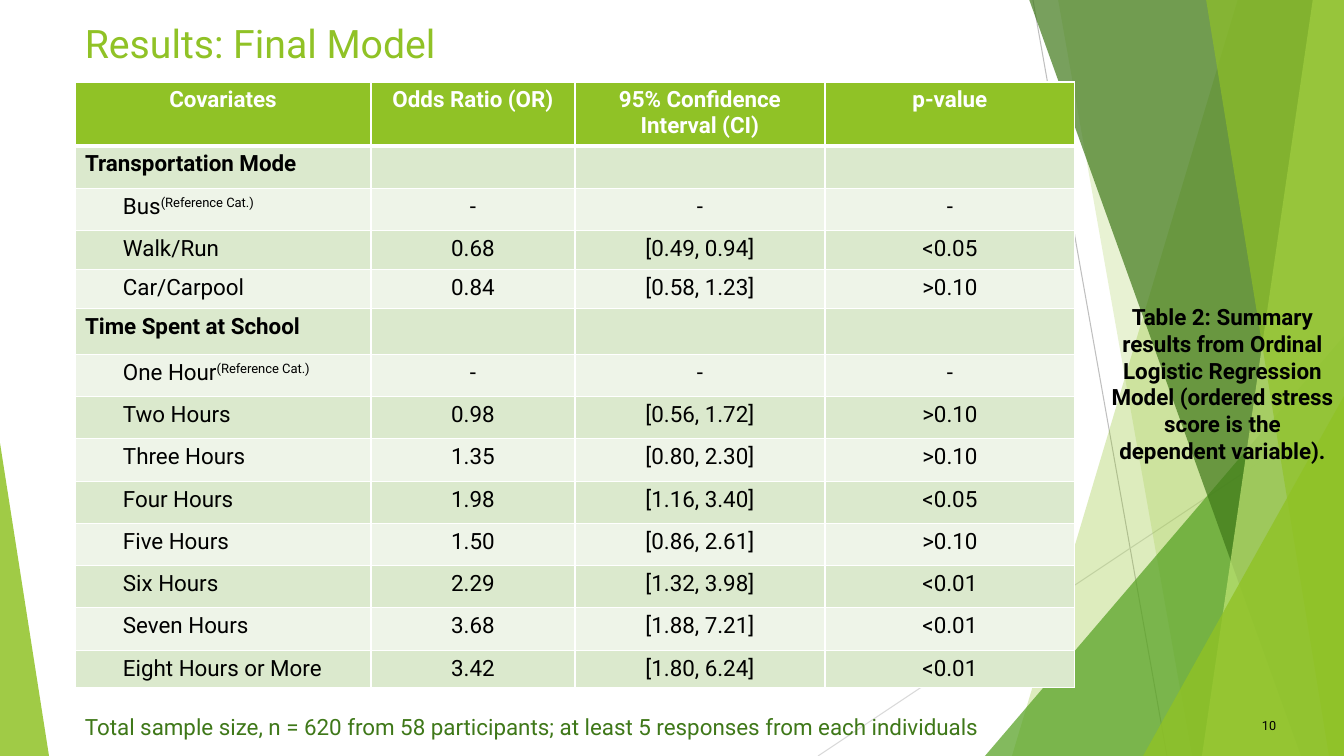
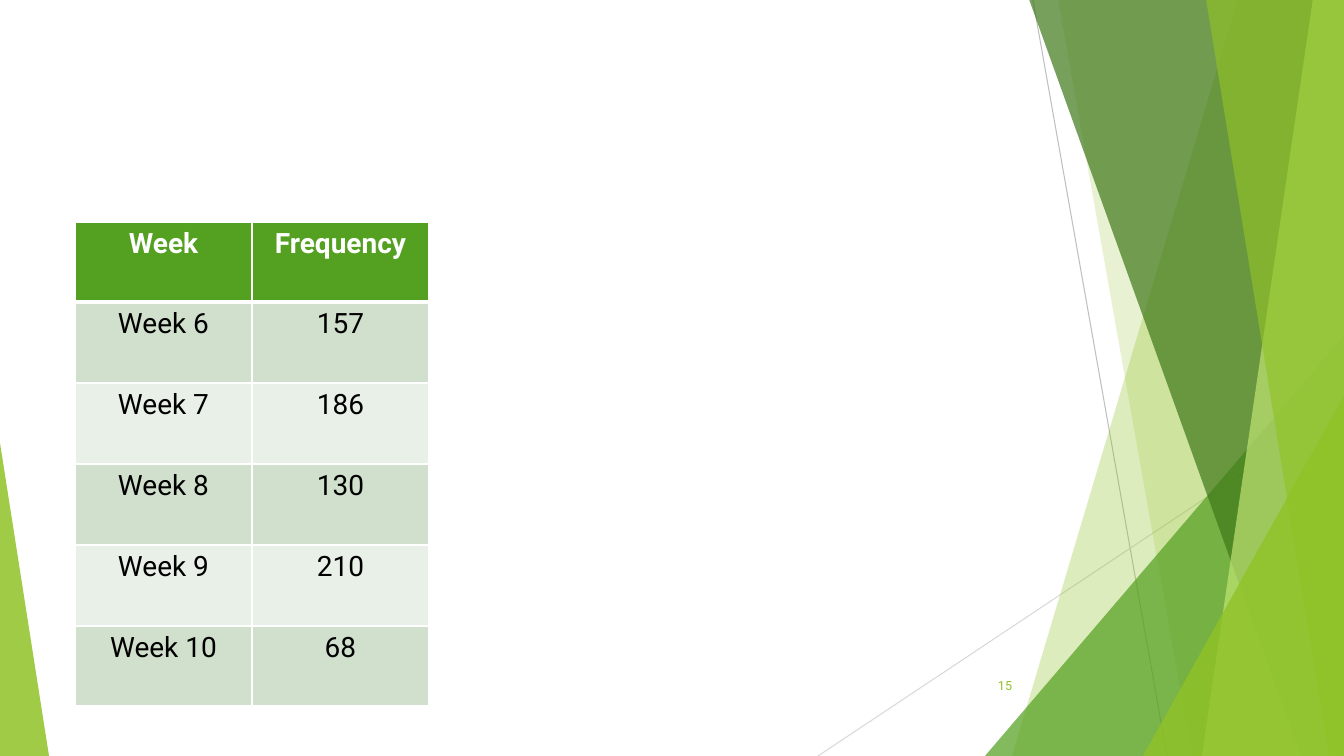
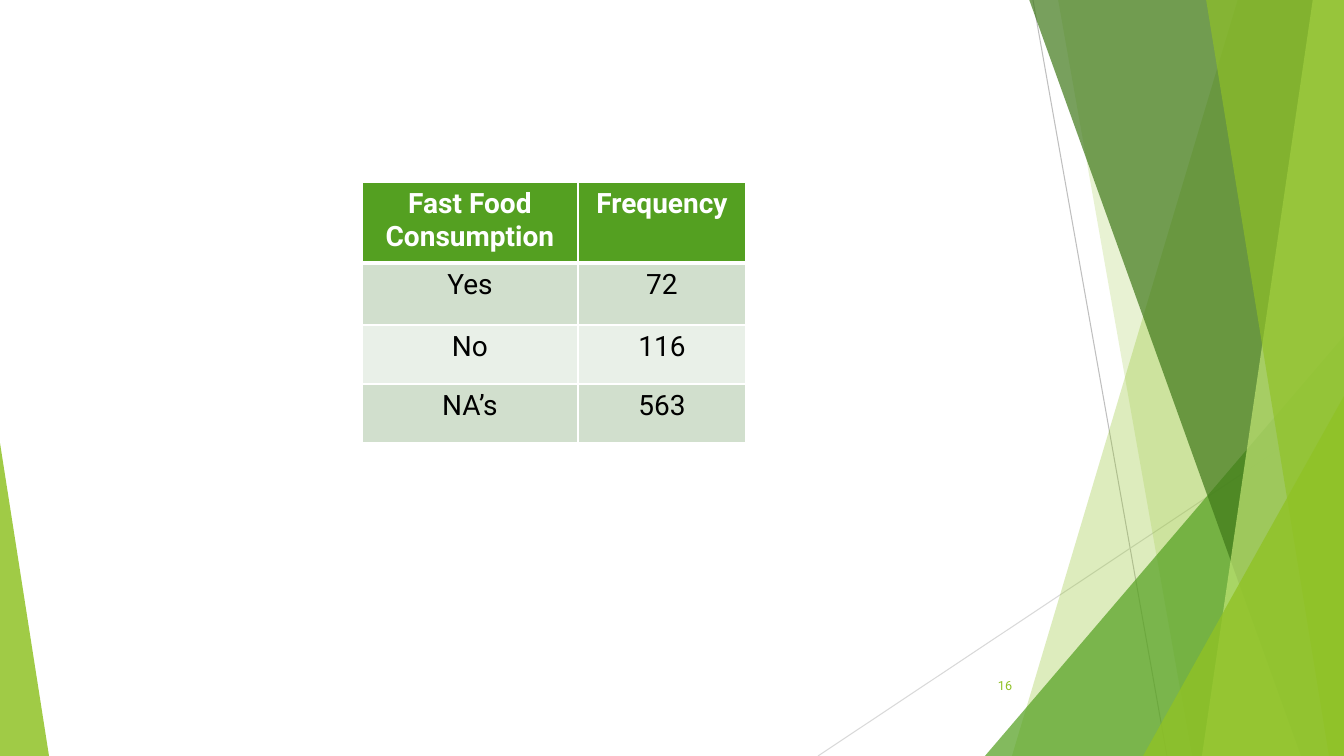
from dataclasses import dataclass
from typing import NamedTuple

from lxml.etree import SubElement
from pptx import Presentation
from pptx.dml.color import RGBColor
from pptx.enum.shapes import MSO_CONNECTOR as Connector, MSO_SHAPE as Shape
from pptx.enum.text import MSO_ANCHOR as Anchor, PP_ALIGN as Align
from pptx.oxml import parse_xml
from pptx.oxml.ns import nsdecls, qn
from pptx.util import Emu, Pt

PX = 914400 / 100.8
SLIDE_W, SLIDE_H = 1344, 756
FONT = "Roboto"
LIME, GREEN, FOREST, PALE = "90C226", "54A021", "3F7819", "C0E474"
WHITE, BLACK = "FFFFFF", "000000"
LABEL_INDENT = 48
REFERENCE_NOTE = "(Reference Cat.)"


class Box(NamedTuple):
    left: int
    top: int
    width: int
    height: int


class Ray(NamedTuple):
    start: tuple[int, int]
    end: tuple[int, int]
    colour: str


class Band(NamedTuple):
    """A full-height area between a slanted left edge and the right slide edge."""
    top_left: int
    bottom_left: int
    colour: str
    opacity: int


class Wedge(NamedTuple):
    box: Box
    apex: int
    colour: str
    opacity: int


@dataclass(frozen=True)
class TableStyle:
    header: str
    bands: tuple[str, str]
    size: int


@dataclass(frozen=True)
class TableSpec:
    left: int
    top: int
    columns: tuple[int, ...]
    heights: tuple[int, ...]
    style: TableStyle
    rows: tuple[tuple[str, ...], ...]


RAYS = (
    Ray((1033, 0), (1167, SLIDE_H), "BFBFBF"),
    Ray((SLIDE_W, 406), (818, SLIDE_H), "D9D9D9"),
)
FACETS = (
    Band(1238, 1012, LIME, 30),
    Band(1058, 1192, LIME, 20),
    Wedge(Box(985, 336, 359, 420), 1, GREEN, 72),
    Band(1029, 1301, FOREST, 70),
    Band(1313, 1202, PALE, 70),
    Band(1206, 1329, LIME, 65),
    Wedge(Box(1143, 396, 201, 360), 1, LIME, 80),
    Wedge(Box(0, 443, 49, 313), 0, LIME, 85),
)

MODEL_STYLE = TableStyle(LIME, ("DBE9CD", "EEF4E8"), 16)
FREQUENCY_STYLE = TableStyle(GREEN, ("D1DFCD", "E9F0E8"), 20)

MODEL = TableSpec(
    75, 82, (296, 204, 250, 250),
    (62, 43, 42, 39, 39, 46, 42, 42, 43, 42, 42, 42, 43, 37), MODEL_STYLE,
    (
        ("Covariates", "Odds Ratio (OR)", "95% Confidence Interval (CI)", "p-value"),
        ("Transportation Mode", "", "", ""),
        ("Bus", "-", "-", "-"),
        ("Walk/Run", "0.68", "[0.49, 0.94]", "<0.05"),
        ("Car/Carpool", "0.84", "[0.58, 1.23]", ">0.10"),
        ("Time Spent at School", "", "", ""),
        ("One Hour", "-", "-", "-"),
        ("Two Hours", "0.98", "[0.56, 1.72]", ">0.10"),
        ("Three Hours", "1.35", "[0.80, 2.30]", ">0.10"),
        ("Four Hours", "1.98", "[1.16, 3.40]", "<0.05"),
        ("Five Hours", "1.50", "[0.86, 2.61]", ">0.10"),
        ("Six Hours", "2.29", "[1.32, 3.98]", "<0.01"),
        ("Seven Hours", "3.68", "[1.88, 7.21]", "<0.01"),
        ("Eight Hours or More", "3.42", "[1.80, 6.24]", "<0.01"),
    ),
)
WEEKS = TableSpec(
    75, 222, (177, 177), (80, 81, 81, 81, 81, 80), FREQUENCY_STYLE,
    (
        ("Week", "Frequency"),
        ("Week 6", "157"),
        ("Week 7", "186"),
        ("Week 8", "130"),
        ("Week 9", "210"),
        ("Week 10", "68"),
    ),
)
FAST_FOOD = TableSpec(
    362, 182, (216, 168), (81, 62, 59, 59), FREQUENCY_STYLE,
    (
        ("Fast Food Consumption", "Frequency"),
        ("Yes", "72"),
        ("No", "116"),
        ("NA’s", "563"),
    ),
)


def px(length: int) -> Emu:
    return Emu(round(length * PX))


def rgb(colour: str) -> RGBColor:
    return RGBColor.from_string(colour)


def style_run(run, size: int, colour: str, bold: bool = False) -> None:
    font = run.font
    font.name, font.size, font.bold = FONT, Pt(size), bold
    font.color.rgb = rgb(colour)


def paint(shape, colour: str, opacity: int) -> None:
    shape.shadow.inherit = False
    shape.line.fill.background()
    shape.fill.solid()
    shape.fill.fore_color.rgb = rgb(colour)
    tint = next(shape.element.spPr.iter(qn("a:srgbClr")))
    SubElement(tint, qn("a:alpha"), val=str(opacity * 1000))


def draw_ray(slide, ray: Ray) -> None:
    line = slide.shapes.add_connector(
        Connector.STRAIGHT, *map(px, ray.start), *map(px, ray.end))
    line.line.color.rgb = rgb(ray.colour)
    line.line.width = Pt(0.75)
    SubElement(line.element.spPr, qn("a:effectLst"))


def draw_band(slide, band: Band) -> None:
    outline = slide.shapes.build_freeform(band.top_left, -1, scale=PX)
    outline.add_line_segments(
        [(SLIDE_W, -1), (SLIDE_W, SLIDE_H), (band.bottom_left, SLIDE_H)])
    paint(outline.convert_to_shape(), band.colour, band.opacity)


def draw_wedge(slide, wedge: Wedge) -> None:
    triangle = slide.shapes.add_shape(Shape.ISOSCELES_TRIANGLE, *map(px, wedge.box))
    triangle.adjustments[0] = wedge.apex
    paint(triangle, wedge.colour, wedge.opacity)


def decorate_layout(slide, layout) -> None:
    """Draw the shared facets on a slide, then move them to its layout."""
    for placeholder in list(layout.placeholders):
        layout.shapes.element.remove(placeholder.element)
    for ray in RAYS:
        draw_ray(slide, ray)
    for facet in FACETS:
        if isinstance(facet, Band):
            draw_band(slide, facet)
        else:
            draw_wedge(slide, facet)
    for shape in list(slide.shapes):
        layout.shapes.element.append(shape.element)


def add_text(slide, box: Box, text: str, size: int, colour: str,
             align: Align = Align.LEFT, bold: bool = False,
             anchor: Anchor = Anchor.TOP) -> None:
    frame = slide.shapes.add_textbox(*map(px, box)).text_frame
    frame.word_wrap = True
    frame.vertical_anchor = anchor
    frame.text = text
    paragraph = frame.paragraphs[0]
    paragraph.alignment = align
    style_run(paragraph.runs[0], size, colour, bold)


def add_number(slide, number: int, left: int, top: int, colour: str) -> None:
    add_text(slide, Box(left, top, 76, 40), str(number), 9, colour,
             Align.RIGHT, anchor=Anchor.MIDDLE)


def set_borders(cell, top: int, bottom: int) -> None:
    """Give a cell white borders, with the top and bottom widths in points."""
    properties = cell._tc.get_or_add_tcPr()
    widths = {"lnL": 1, "lnR": 1, "lnT": top, "lnB": bottom}
    for place, (side, width) in enumerate(widths.items()):
        properties.insert(place, parse_xml(
            f'<a:{side} {nsdecls("a")} w="{Pt(width)}"><a:solidFill>'
            f'<a:srgbClr val="{WHITE}"/></a:solidFill></a:{side}>'))


def draw_table(slide, spec: TableSpec):
    box = Box(spec.left, spec.top, sum(spec.columns), sum(spec.heights))
    table = slide.shapes.add_table(
        len(spec.rows), len(spec.columns), *map(px, box)).table
    for column, width in zip(table.columns, spec.columns):
        column.width = px(width)
    for r, (texts, height) in enumerate(zip(spec.rows, spec.heights)):
        table.rows[r].height = px(height)
        is_header = r == 0
        fill = spec.style.header if is_header else spec.style.bands[(r - 1) % 2]
        for c, text in enumerate(texts):
            cell = table.cell(r, c)
            cell.fill.solid()
            cell.fill.fore_color.rgb = rgb(fill)
            set_borders(cell, top=3 if r == 1 else 1, bottom=3 if is_header else 1)
            if text:
                cell.text_frame.text = text
                paragraph = cell.text_frame.paragraphs[0]
                paragraph.alignment = Align.CENTER
                style_run(paragraph.runs[0], spec.style.size,
                          WHITE if is_header else BLACK, is_header)
    return table


def format_covariates(table) -> None:
    """Left-align the labels: bold for groups, indented for their categories."""
    for r, (_, odds, *_) in enumerate(MODEL.rows[1:], start=1):
        cell = table.cell(r, 0)
        paragraph = cell.text_frame.paragraphs[0]
        paragraph.alignment = Align.LEFT
        if not odds:
            paragraph.runs[0].font.bold = True
            continue
        cell.margin_left = px(LABEL_INDENT)
        if odds == "-":
            note = paragraph.add_run()
            note.text = REFERENCE_NOTE
            style_run(note, MODEL.style.size, BLACK)
            note.font._element.set("baseline", "30000")


def fill_model_slide(slide) -> None:
    add_text(slide, Box(75, 14, 948, 145), "Results: Final Model", 28, LIME)
    format_covariates(draw_table(slide, MODEL))
    add_number(slide, 10, 1210, 706, BLACK)
    add_text(slide, Box(75, 708, 1163, 37),
             "Total sample size, n = 620 from 58 participants; "
             "at least 5 responses from each individuals", 16, FOREST)
    add_text(slide, Box(1101, 298, 243, 173),
             "Table 2: Summary results from Ordinal Logistic Regression Model "
             "(ordered stress score is the dependent variable).",
             16, BLACK, Align.CENTER, bold=True)


def main() -> None:
    deck = Presentation()
    deck.slide_width, deck.slide_height = px(SLIDE_W), px(SLIDE_H)
    blank = deck.slide_layouts[6]
    model_slide = deck.slides.add_slide(blank)
    decorate_layout(model_slide, blank)
    fill_model_slide(model_slide)
    for number, spec in ((15, WEEKS), (16, FAST_FOOD)):
        slide = deck.slides.add_slide(blank)
        draw_table(slide, spec)
        add_number(slide, number, 946, 666, LIME)
    deck.save("out.pptx")


if __name__ == "__main__":
    main()
